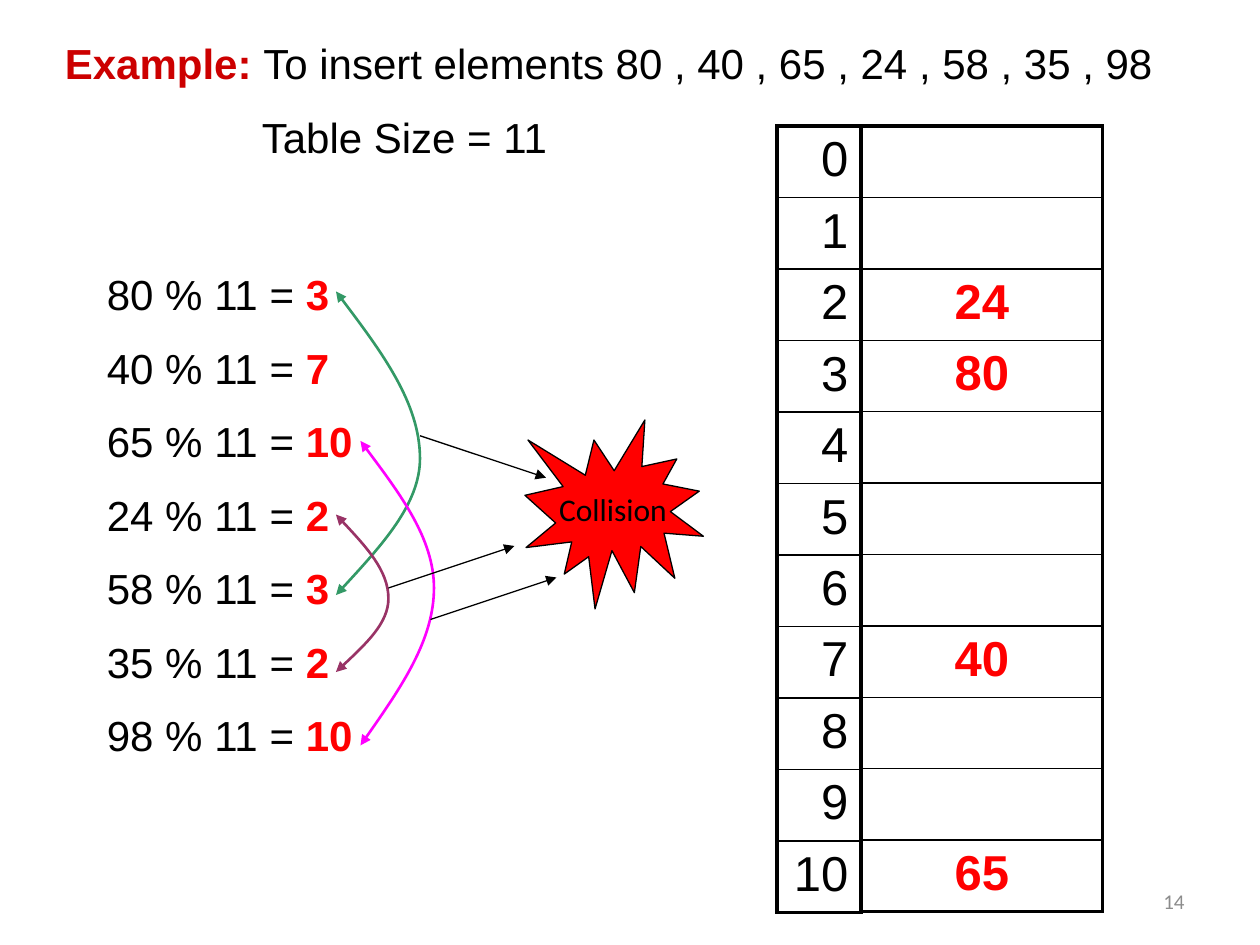
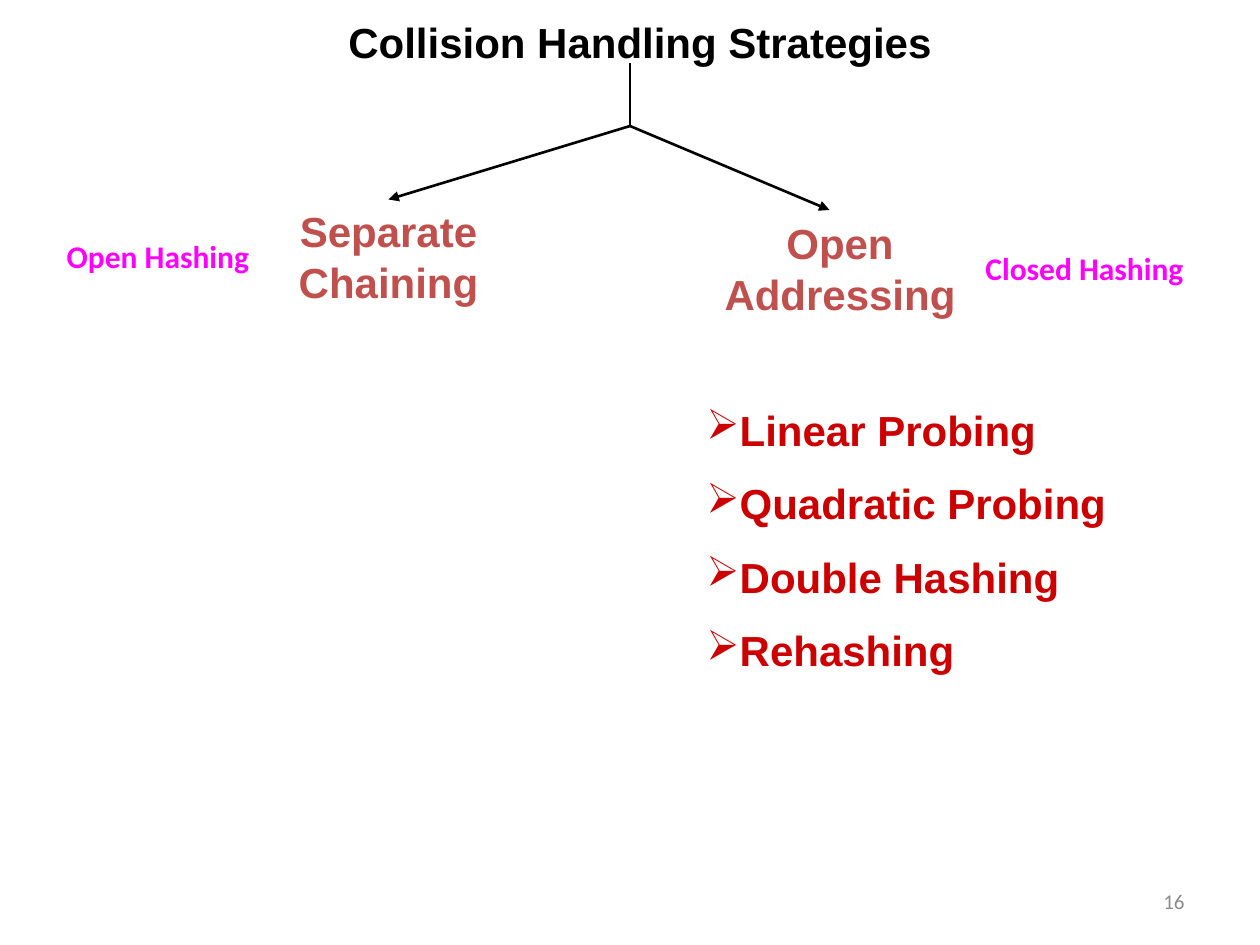
from lxml.etree import SubElement
from pptx import Presentation
from pptx.dml.color import RGBColor
from pptx.enum.shapes import MSO_CONNECTOR, MSO_SHAPE
from pptx.enum.text import MSO_ANCHOR, PP_ALIGN
from pptx.oxml.ns import qn
from pptx.util import Pt

COLORS = {
    "ink": "000000", "accent": "CC0000", "result": "FF0000", "branch": "C0504D",
    "magenta": "FF00FF", "green": "339966", "plum": "993366", "footer": "8C8C8C",
}

TABLE_SIZE = 11
KEYS = [80, 40, 65, 24, 58, 35, 98]
STORED_KEYS = KEYS[:4]
SLOTS = {key % TABLE_SIZE: key for key in STORED_KEYS}

COLLISION_CURVES = [
    ("green", 192, 240, (166.5, 262, 340)),
    ("plum", 192, 222, (294, 342, 384)),
    ("magenta", 206, 248, (252, 336, 426)),
]
COLLISION_ARROWS = [((240, 249), 24), ((222, 336), -24), ((246, 354), -24)]

STRATEGIES = {
    "Separate Chaining": (156, 114, 132, 65),
    "Open Addressing": (378, 121, 204, 65),
}
HASHING_NAMES = {"Closed Hashing": (556, 139), "Open Hashing": (31, 132)}
PROBING_METHODS = ["Linear Probing", "Quadratic Probing", "Double Hashing", "Rehashing"]

ROW_HEIGHT = 40.8
TABLE_TOP = 72
PARAGRAPH_GAP = 13.2
FORK = (360, 72)


def rgb(color):
    return RGBColor.from_string(COLORS[color])


def write(frame, paragraphs, size=24, font="Arial", color="ink", bold=False,
          align=PP_ALIGN.LEFT, anchor=MSO_ANCHOR.TOP, wrap=True, bullet=None, indents=()):
    frame.word_wrap = wrap
    frame.vertical_anchor = anchor
    for number, runs in enumerate(paragraphs):
        paragraph = frame.add_paragraph() if number else frame.paragraphs[0]
        paragraph.alignment = align
        if number:
            paragraph.space_before = Pt(PARAGRAPH_GAP)
        properties = paragraph._p.get_or_add_pPr()
        if number < len(indents):
            properties.set("marL", str(Pt(indents[number])))
        if bullet:
            SubElement(properties, qn("a:buChar"), char=bullet)
        for text, *style in [(runs,)] if isinstance(runs, str) else runs:
            run_color, run_bold = style or (color, bold)
            run = paragraph.add_run()
            run.text = text
            run.font.size = Pt(size)
            run.font.name = font
            run.font.bold = run_bold
            run.font.color.rgb = rgb(run_color)


def add_text(slide, box, paragraphs, **style):
    textbox = slide.shapes.add_textbox(*map(Pt, box))
    write(textbox.text_frame, paragraphs, **style)
    return textbox


def style_line(line, color, width, ends=()):
    line.color.rgb = rgb(color)
    line.width = Pt(width)
    for end in ends:
        SubElement(line._get_or_add_ln(), qn(f"a:{end}"), type="triangle")


def add_line(slide, start, finish, width, ends=("tailEnd",)):
    connector = slide.shapes.add_connector(MSO_CONNECTOR.STRAIGHT, *map(Pt, start + finish))
    style_line(connector.line, "ink", width, ends)
    SubElement(connector._element.spPr, qn("a:effectLst"))
    return connector


def add_curve(slide, color, side, bend, heights):
    top, middle, bottom = heights
    halfway = (side + bend) / 2
    points = [
        (halfway, top + (middle - top) / 3), (bend, top + (middle - top) * 2 / 3),
        (bend, middle), (bend, middle + (bottom - middle) / 3),
        (halfway, middle + (bottom - middle) * 2 / 3), (side, bottom),
    ]
    builder = slide.shapes.build_freeform(Pt(side), Pt(top))
    builder.add_line_segments([(Pt(x), Pt(y)) for x, y in points], close=False)
    curve = builder.convert_to_shape()
    segments = list(curve._element.iter(qn("a:lnTo")))
    outline = segments[0].getparent()
    for first in range(0, len(segments), 3):
        bezier = SubElement(outline, qn("a:cubicBezTo"))
        for segment in segments[first:first + 3]:
            bezier.append(segment[0])
            outline.remove(segment)
    curve.fill.background()
    curve.shadow.inherit = False
    style_line(curve.line, color, 1.5, ("headEnd", "tailEnd"))


def add_border(cell, side, width):
    border = SubElement(cell._tc.get_or_add_tcPr(), qn(f"a:{side}"), w=str(Pt(width)))
    fill = SubElement(border, qn("a:solidFill"))
    SubElement(fill, qn("a:srgbClr"), val=COLORS["ink"])


def add_column(slide, left, width, entries, **style):
    count = len(entries)
    table = slide.shapes.add_table(
        count, 1, Pt(left), Pt(TABLE_TOP), Pt(width), Pt(ROW_HEIGHT * count)).table
    table.first_row = table.horz_banding = False
    for row, entry in enumerate(entries):
        table.rows[row].height = Pt(ROW_HEIGHT)
        cell = table.cell(row, 0)
        widths = {"lnL": 2.25, "lnR": 2.25, "lnT": 1 if row else 2.25,
                  "lnB": 1 if row < count - 1 else 2.25}
        for side, border_width in widths.items():
            add_border(cell, side, border_width)
        cell.fill.background()
        if entry:
            write(cell.text_frame, [entry], size=28, **style)


def add_slide(deck, number):
    slide = deck.slides.add_slide(deck.slide_layouts[6])
    add_text(slide, (516, 500.5, 168, 28.75), [number], size=12, font="Calibri",
             color="footer", align=PP_ALIGN.RIGHT, anchor=MSO_ANCHOR.MIDDLE)
    return slide


def build_example(deck):
    slide = add_slide(deck, "14")
    inserted = " , ".join(map(str, KEYS))
    add_text(slide, (30, 18, 666, 79), [
        [("Example: ", "accent", True), (f"To insert elements {inserted}",)],
        f"Table Size = {TABLE_SIZE}",
    ], indents=(0, 112.5))
    add_text(slide, (54, 150, 192, 294), [
        [(f"{key} % {TABLE_SIZE} = ",), (str(key % TABLE_SIZE), "result", True)]
        for key in KEYS
    ], align=PP_ALIGN.JUSTIFY)

    add_column(slide, 492, 138, [str(SLOTS.get(slot, "")) for slot in range(TABLE_SIZE)],
               color="result", bold=True, align=PP_ALIGN.CENTER)
    add_column(slide, 444, 48, [str(slot) for slot in range(TABLE_SIZE)],
               align=PP_ALIGN.RIGHT)

    for curve in COLLISION_CURVES:
        add_curve(slide, *curve)
    collision = slide.shapes.add_shape(
        MSO_SHAPE.EXPLOSION1, Pt(300), Pt(240), Pt(102), Pt(108))
    collision.shadow.inherit = False
    collision.fill.solid()
    collision.fill.fore_color.rgb = rgb("result")
    style_line(collision.line, "ink", 0.75)
    write(collision.text_frame, ["Collision"], size=18, font="Calibri",
          align=PP_ALIGN.CENTER, anchor=MSO_ANCHOR.MIDDLE, wrap=False)
    for (x, y), rise in COLLISION_ARROWS:
        add_line(slide, (x, y), (x + 72, y + rise), 0.75)


def build_strategies(deck):
    slide = add_slide(deck, "16")
    add_text(slide, (192, 6, 354, 36), ["Collision Handling Strategies"], bold=True)
    branches = {
        name: add_text(slide, box, [name], color="branch", bold=True, align=PP_ALIGN.CENTER)
        for name, box in STRATEGIES.items()
    }
    add_text(slide, (396.5, 227.5, 292, 167), PROBING_METHODS,
             color="accent", bold=True, bullet="➢")

    add_line(slide, (360, 36), FORK, 1.5, ends=())
    chaining_arrow = add_line(slide, FORK, (222, 114), 1.5)
    chaining_arrow.end_connect(branches["Separate Chaining"], 0)
    add_line(slide, FORK, (474, 120), 1.5)

    for name, (left, top) in HASHING_NAMES.items():
        add_text(slide, (left, top, 142, 29), [name], size=18, font="Calibri",
                 color="magenta", bold=True)


def main():
    deck = Presentation()
    deck.slide_width, deck.slide_height = Pt(720), Pt(540)
    build_example(deck)
    build_strategies(deck)
    deck.save("out.pptx")


if __name__ == "__main__":
    main()
